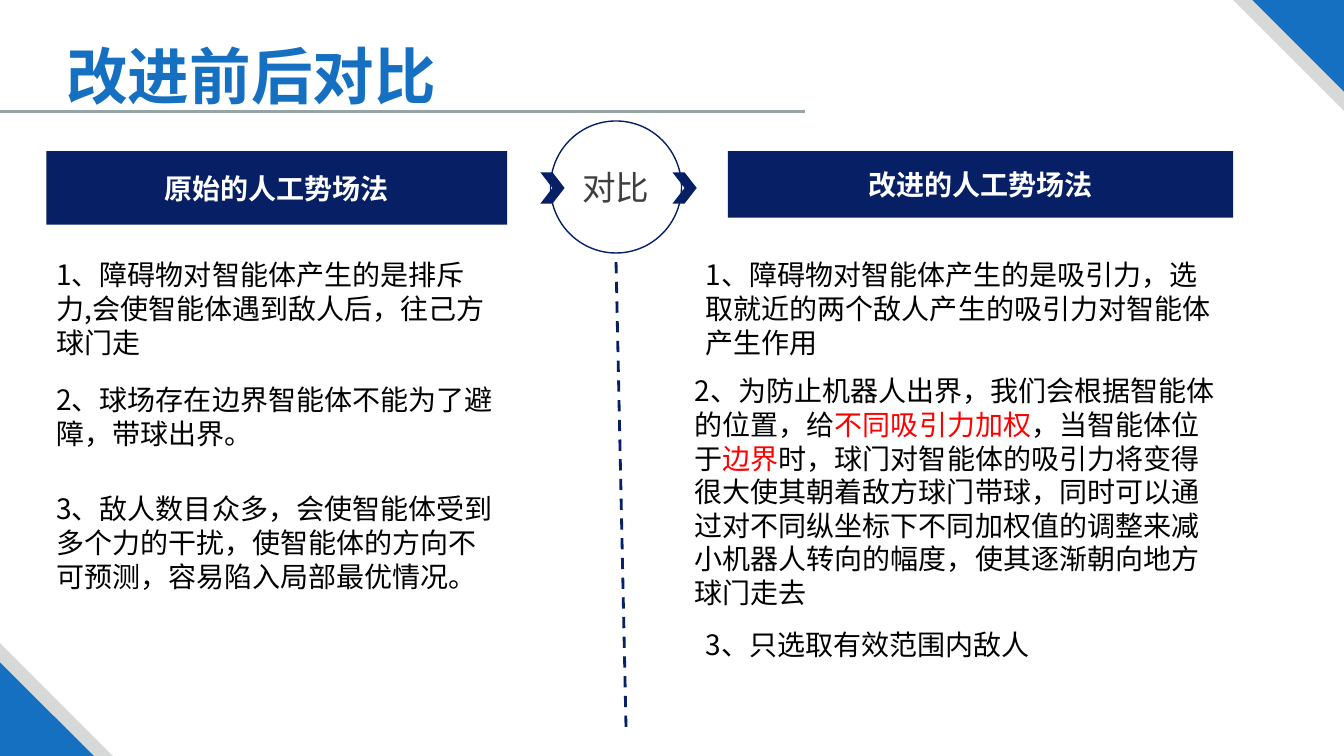
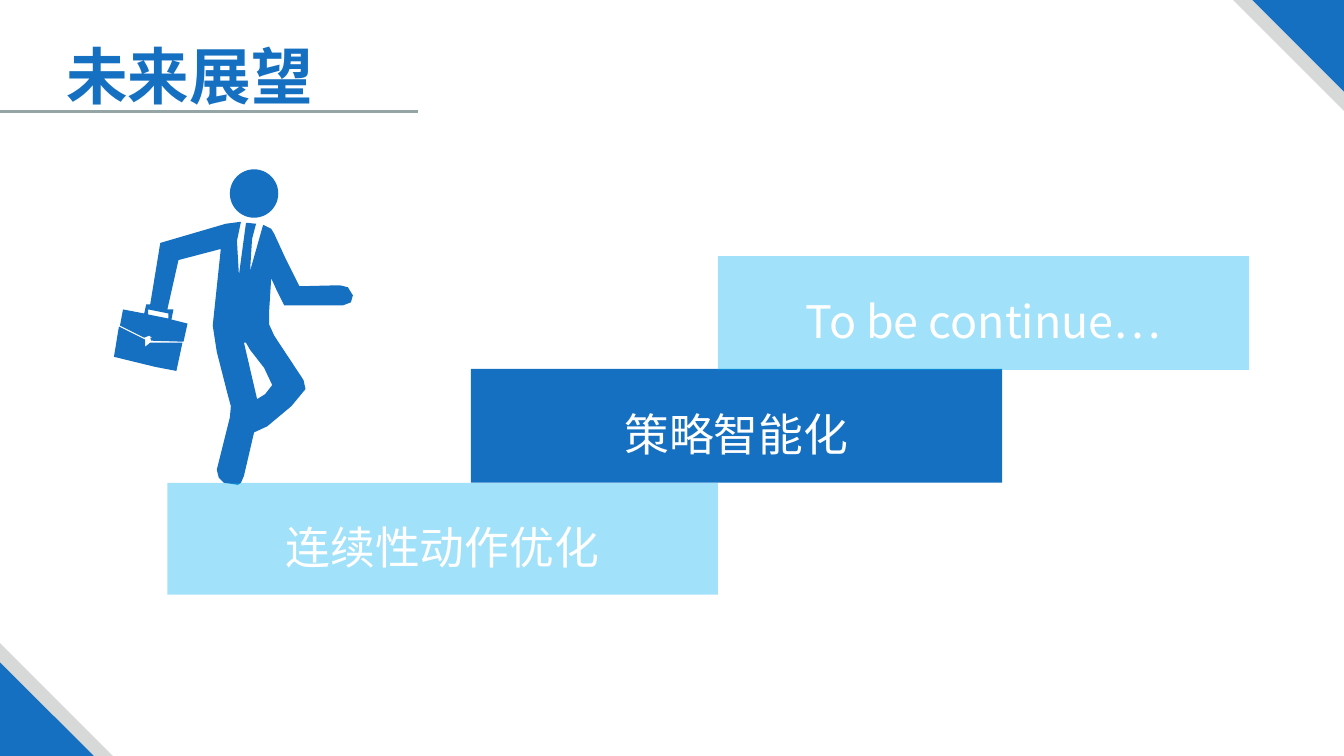
from lxml.etree import SubElement
from pptx import Presentation
from pptx.dml.color import RGBColor
from pptx.enum.dml import MSO_LINE
from pptx.enum.shapes import MSO_CONNECTOR, MSO_SHAPE
from pptx.enum.text import MSO_ANCHOR, PP_ALIGN
from pptx.oxml.ns import qn
from pptx.util import Inches, Pt

BLUE, NAVY, LIGHT_BLUE = "1570C1", "071F65", "00B0F0"
PALE_GREY, RULE_GREY, DARK_GREY = "D7D8D8", "95A5A6", "3D3F41"
WHITE, BLACK, RED = "FFFFFF", "000000", "FF0000"
LATIN_FONT, CHINESE_FONT = "Calibri", "Noto Sans CJK SC"
SLIDE_WIDTH, SLIDE_HEIGHT = 13.33, 7.5

BODY_OUTLINE = [
    (112, 54), (127, 52), (123, 71), (125, 105), (132, 53), (142, 54), (138, 69),
    (136, 101), (149, 55), (157, 59), (160, 64), (171, 88), (185, 116), (225, 115),
    (233, 117), (238, 125), (236, 132), (228, 135), (170, 135), (162, 119),
    (157, 108), (155, 140), (155, 154), (160, 165), (189, 209), (191, 218),
    (177, 235), (153, 255), (140, 261), (130, 304), (127, 311), (124, 313),
    (110, 311), (105, 306), (103, 298), (105, 290), (116, 246), (117, 235),
    (114, 224), (103, 181), (99, 155), (107, 79), (65, 90), (54, 139), (60, 139),
    (58, 149), (74, 153), (70, 171), (38, 170), (37, 167), (40, 168), (36, 165),
    (31, 167), (7, 155), (10, 139), (31, 143), (33, 134), (37, 134), (47, 73),
]
HANDLE_GAP = [(35, 144), (55, 148), (55, 143), (35, 139)]
LEG_GAP = [(130, 172), (143, 228), (151, 223), (158, 214), (150, 197), (136, 179), (132, 172)]
BRIEFCASE = [(6, 156), (32, 169), (32, 176), (37, 172), (69, 172), (63, 200), (42, 196), (1, 186)]


def color(value):
    """Turn a hex string into a colour."""
    return RGBColor.from_string(value)


def add_runs(paragraph, runs, size, font_name=CHINESE_FONT, bold=False):
    """Add (text, colour) pairs to a paragraph as runs."""
    for text, run_color in runs:
        run = paragraph.add_run()
        run.text = text
        run.font.size = Pt(size)
        run.font.bold = bold
        run.font.name = font_name
        run.font.color.rgb = color(run_color)
        SubElement(run.font._element, qn("a:ea"), typeface=CHINESE_FONT)


def add_text(slide, left, top, width, height, runs, size, **style):
    """Add a wrapping text box without hanging punctuation and return it."""
    box = slide.shapes.add_textbox(Inches(left), Inches(top), Inches(width), Inches(height))
    box.text_frame.word_wrap = True
    paragraph = box.text_frame.paragraphs[0]
    paragraph._element.get_or_add_pPr().set("hangingPunct", "0")
    add_runs(paragraph, runs, size, **style)
    return box


def paint(shape, fill):
    """Give a shape a plain fill without line or shadow."""
    shape.shadow.inherit = False
    shape.fill.solid()
    shape.fill.fore_color.rgb = color(fill)
    shape.line.fill.background()


def add_shape(shapes, kind, left, top, width, height, fill):
    """Add a plain preset shape and return it."""
    shape = shapes.add_shape(kind, Inches(left), Inches(top), Inches(width), Inches(height))
    paint(shape, fill)
    return shape


def add_label(shape, text, size, text_color=WHITE, **style):
    """Centre one line of text in a shape and return its paragraph."""
    shape.text_frame.word_wrap = True
    shape.text_frame.vertical_anchor = MSO_ANCHOR.MIDDLE
    paragraph = shape.text_frame.paragraphs[0]
    paragraph.alignment = PP_ALIGN.CENTER
    add_runs(paragraph, [(text, text_color)], size, **style)
    return paragraph


def add_line(slide, start, end, line_color):
    """Add a straight two-point line without shadow and return it."""
    points = [Inches(value) for value in (*start, *end)]
    line = slide.shapes.add_connector(MSO_CONNECTOR.STRAIGHT, *points)
    line.line.color.rgb = color(line_color)
    line.line.width = Pt(2)
    SubElement(line._element.spPr, qn("a:effectLst"))
    return line


def add_base_slide(presentation, title, rule_end):
    """Add a slide with corner triangles, title and the rule under it."""
    slide = presentation.slides.add_slide(presentation.slide_layouts[6])
    for top_size, bottom_size, fill in ((1.1, 1.12, PALE_GREY), (0.91, 0.93, BLUE)):
        upper = add_shape(slide.shapes, MSO_SHAPE.RIGHT_TRIANGLE,
                          SLIDE_WIDTH - top_size, 0, top_size, top_size, fill)
        upper.rotation = 180
        add_shape(slide.shapes, MSO_SHAPE.RIGHT_TRIANGLE,
                  0, SLIDE_HEIGHT - bottom_size, bottom_size, bottom_size, fill)
    box = add_text(slide, 0.56, 0.44, 9.49, 0.69, [(title, BLUE)], 44,
                   font_name=LATIN_FONT, bold=True)
    box.text_frame.vertical_anchor = MSO_ANCHOR.MIDDLE
    box.text_frame.paragraphs[0].line_spacing = 0.9
    add_line(slide, (0, 1.11), (rule_end, 1.11), RULE_GREY)
    return slide


def add_column(slide, left, top, width, height, heading, points):
    """Add a heading band and points offset from its top left corner."""
    band = add_shape(slide.shapes, MSO_SHAPE.RECTANGLE, left, top, width, height, NAVY)
    add_label(band, heading, 20, bold=True)
    for offset_x, offset_y, point_width, point_height, runs in points:
        add_text(slide, left + offset_x, top + offset_y, point_width, point_height, runs, 20)


def add_divider(slide, left, top, width, height):
    """Add the circle with a chevron on each side and a dashed line below."""
    circle = add_shape(slide.shapes, MSO_SHAPE.OVAL, left, top, width, height, WHITE)
    circle.line.color.rgb = color(NAVY)
    circle.line.width = Pt(1)
    add_label(circle, "对比", 24, DARK_GREY)
    for chevron_left in (left - 0.1, left + width - 0.09):
        add_shape(slide.shapes, MSO_SHAPE.CHEVRON, chevron_left, top + 0.51, 0.24, 0.31, NAVY)
    middle, bottom = left + width / 2, top + height
    dashes = add_line(slide, (middle, bottom + 0.09), (middle + 0.1, bottom + 4.75), NAVY)
    dashes.line.dash_style = MSO_LINE.DASH


def add_outline(shapes, left, top, contours):
    """Add one blue freeform whose contours are in hundredths of an inch."""
    placed = [[(Inches(left + x / 100), Inches(top + y / 100)) for x, y in contour]
              for contour in contours]
    builder = shapes.build_freeform(*placed[0][0], scale=1.0)
    for index, contour in enumerate(placed):
        if index:
            builder.move_to(*contour[0])
        builder.add_line_segments(contour[1:], close=True)
    paint(builder.convert_to_shape(), BLUE)


def add_walker(slide, left, top):
    """Add the walking man with a briefcase as one group."""
    shapes = slide.shapes.add_group_shape().shapes
    add_outline(shapes, left, top, [BODY_OUTLINE, HANDLE_GAP, LEG_GAP])
    add_outline(shapes, left, top, [BRIEFCASE])
    add_shape(shapes, MSO_SHAPE.OVAL, left + 1.16, top, 0.48, 0.48, BLUE)


def add_step(slide, left, top, width, height, text, fill, alpha=100):
    """Add one labelled stair step, translucent when alpha is below 100."""
    step = add_shape(slide.shapes, MSO_SHAPE.RECTANGLE, left, top, width, height, fill)
    if alpha < 100:
        tint = step._element.spPr.find(qn("a:solidFill"))[0]
        SubElement(tint, qn("a:alpha"), val=str(alpha * 1000))
    add_label(step, text, 32).line_spacing = 1.3


def build_comparison(presentation):
    """Build the slide comparing the method before and after."""
    slide = add_base_slide(presentation, "改进前后对比", 7.98)
    add_column(slide, 0.46, 1.5, 4.57, 0.73, "原始的人工势场法", [
        (0, 1.01, 4.57, 1.11,
         [("1、障碍物对智能体产生的是排斥力,会使智能体遇到敌人后，往己方球门走", BLACK)]),
        (0, 2.25, 4.57, 1.11, [("2、球场存在边界智能体不能为了避障，带球出界。", BLACK)]),
        (0, 3.33, 4.57, 1.11,
         [("3、敌人数目众多，会使智能体受到多个力的干扰，使智能体的方向不可预测，"
           "容易陷入局部最优情况。", BLACK)]),
    ])
    add_column(slide, 7.22, 1.5, 5.01, 0.66, "改进的人工势场法", [
        (-0.32, 1.01, 5.3, 1.11,
         [("1、障碍物对智能体产生的是吸引力，选取就近的两个敌人产生的吸引力"
           "对智能体产生作用", BLACK)]),
        (-0.43, 2.16, 5.41, 2.46, [
            ("2、为防止机器人出界，我们会根据智能体的位置，给", BLACK),
            ("不同吸引力加权", RED),
            ("，当智能体位于", BLACK),
            ("边界", RED),
            ("时，球门对智能体的吸引力将变得很大使其朝着敌方球门带球，"
             "同时可以通过对不同纵坐标下不同加权值的调整来减小机器人转向的幅度，"
             "使其逐渐朝向地方球门走去", BLACK),
        ]),
        (-0.32, 4.68, 5.3, 0.77, [("3、只选取有效范围内敌人", BLACK)]),
    ])
    add_divider(slide, 5.46, 1.2, 1.3, 1.31)


def build_outlook(presentation):
    """Build the slide with the man climbing three steps."""
    slide = add_base_slide(presentation, "未来展望", 4.15)
    add_walker(slide, 1.12, 1.68)
    add_step(slide, 1.66, 4.79, 5.46, 1.11, "连续性动作优化", LIGHT_BLUE, 37)
    add_step(slide, 4.67, 3.66, 5.27, 1.13, "策略智能化", BLUE)
    add_step(slide, 7.12, 2.54, 5.27, 1.13, "To be continue…", LIGHT_BLUE, 37)


def main():
    """Build and save the presentation."""
    presentation = Presentation()
    presentation.slide_width = Inches(SLIDE_WIDTH)
    presentation.slide_height = Inches(SLIDE_HEIGHT)
    build_comparison(presentation)
    build_outlook(presentation)
    presentation.save("out.pptx")


if __name__ == "__main__":
    main()
